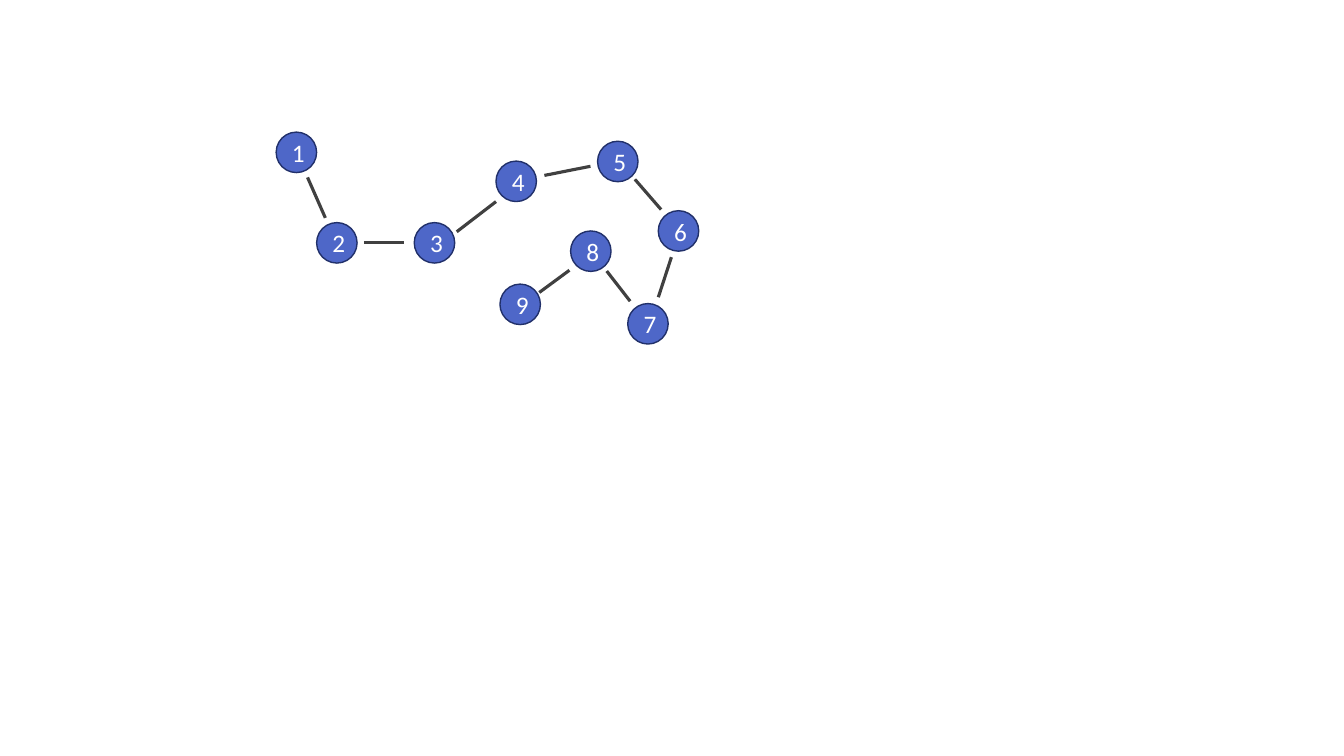
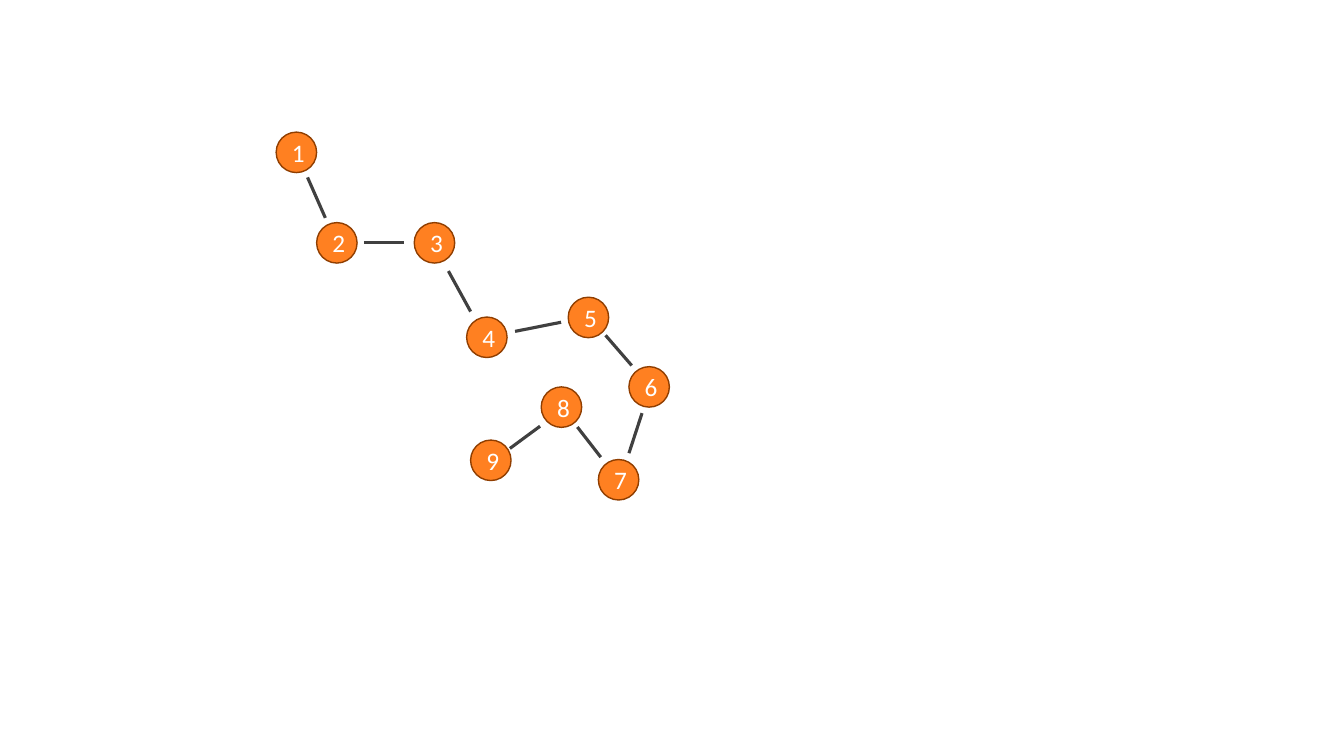
"""Build two slides, each with a chain of nine numbered nodes."""
from lxml.etree import SubElement
from pptx import Presentation
from pptx.dml.color import RGBColor
from pptx.enum.shapes import MSO_CONNECTOR, MSO_SHAPE
from pptx.enum.text import MSO_ANCHOR, PP_ALIGN
from pptx.oxml.ns import qn
from pptx.util import Cm, Pt

BLUE = RGBColor(0x4E, 0x67, 0xC8)
NAVY = RGBColor(0x21, 0x30, 0x6A)
ORANGE = RGBColor(0xFF, 0x80, 0x21)
BROWN = RGBColor(0x90, 0x3E, 0x00)
GREY = RGBColor(0x40, 0x40, 0x40)
WHITE = RGBColor(0xFF, 0xFF, 0xFF)

NODE_DIAMETER = Cm(1.02)
NUMBER_FORMAT = {"name": "Calibri", "size": Pt(18)}

HEAD_NODES = [(6.96, 3.33), (7.98, 5.61), (10.44, 5.61)]
TAIL_NODES = [(12.5, 4.06), (15.06, 3.56), (16.59, 5.31),
              (15.82, 7.65), (14.38, 5.82), (12.6, 7.16)]
HEAD_LINKS = [(7.75, 4.47, 8.2, 5.49), (9.17, 6.12, 10.19, 6.12)]
TAIL_LINKS = [(14.88, 4.19, 13.72, 4.42), (16.66, 5.28, 16, 4.52),
              (16.92, 6.48, 16.59, 7.49), (15.88, 7.59, 15.29, 6.83),
              (14.35, 6.81, 13.59, 7.37)]
UPPER_JOINT = (12.5, 5.08, 11.51, 5.84)
LOWER_JOINT = (11.86, 7.85, 11.3, 6.83)
NO_SHIFT = (0, 0)
LOWER_SHIFT = (-0.74, 3.93)


def add_node(shapes, number, left, top, fill, outline):
    """Add one numbered circle."""
    node = shapes.add_shape(MSO_SHAPE.OVAL, Cm(left), Cm(top), NODE_DIAMETER, NODE_DIAMETER)
    node.shadow.inherit = False
    node.fill.solid()
    node.fill.fore_color.rgb = fill
    node.line.color.rgb = outline
    node.line.width = Pt(1)
    node.text_frame.vertical_anchor = MSO_ANCHOR.MIDDLE
    paragraph = node.text_frame.paragraphs[0]
    paragraph.alignment = PP_ALIGN.CENTER
    run = paragraph.add_run()
    run.text = str(number)
    for attribute, value in NUMBER_FORMAT.items():
        setattr(run.font, attribute, value)
    run.font.color.rgb = WHITE


def add_link(shapes, ends):
    """Add one straight line between two nodes."""
    link = shapes.add_connector(MSO_CONNECTOR.STRAIGHT, *map(Cm, ends))
    link.line.color.rgb = GREY
    link.line.width = Pt(2.25)
    SubElement(link._element.spPr, qn("a:effectLst"))


def add_chain(shapes, fill, outline, joint, shift):
    """Add the nodes and links, moving those after the joint by the shift."""
    dx, dy = shift
    nodes = HEAD_NODES + [(x + dx, y + dy) for x, y in TAIL_NODES]
    moved_links = [(x1 + dx, y1 + dy, x2 + dx, y2 + dy) for x1, y1, x2, y2 in TAIL_LINKS]
    for number, (left, top) in enumerate(nodes, start=1):
        add_node(shapes, number, left, top, fill, outline)
    for ends in HEAD_LINKS + [joint] + moved_links:
        add_link(shapes, ends)


def main():
    """Build and save the presentation."""
    deck = Presentation()
    deck.slide_width, deck.slide_height = Cm(33.87), Cm(19.05)
    blank_layout = deck.slide_layouts[6]
    blue_group = deck.slides.add_slide(blank_layout).shapes.add_group_shape()
    add_chain(blue_group.shapes, BLUE, NAVY, UPPER_JOINT, NO_SHIFT)
    orange_slide = deck.slides.add_slide(blank_layout)
    add_chain(orange_slide.shapes, ORANGE, BROWN, LOWER_JOINT, LOWER_SHIFT)
    deck.save("out.pptx")


if __name__ == "__main__":
    main()
